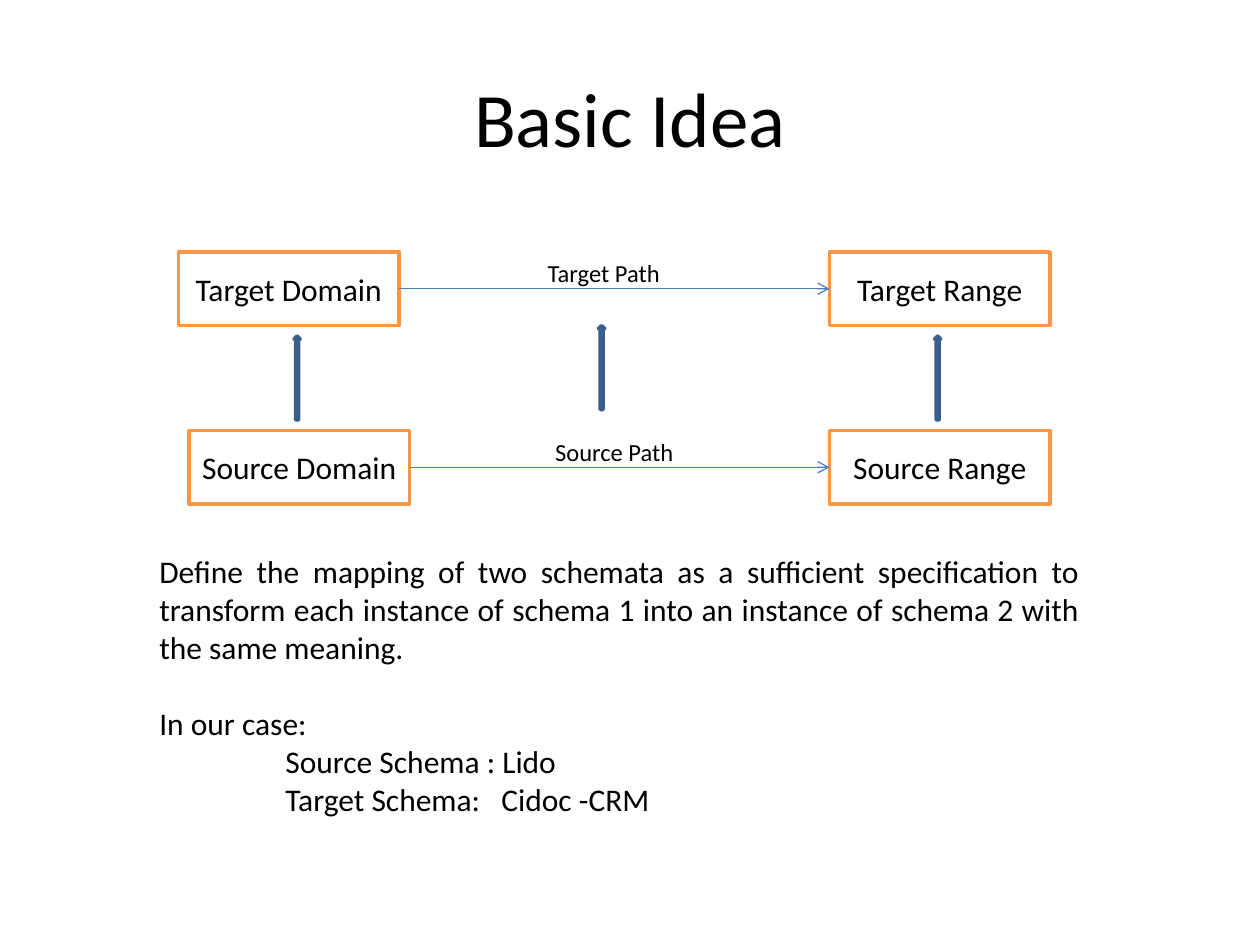
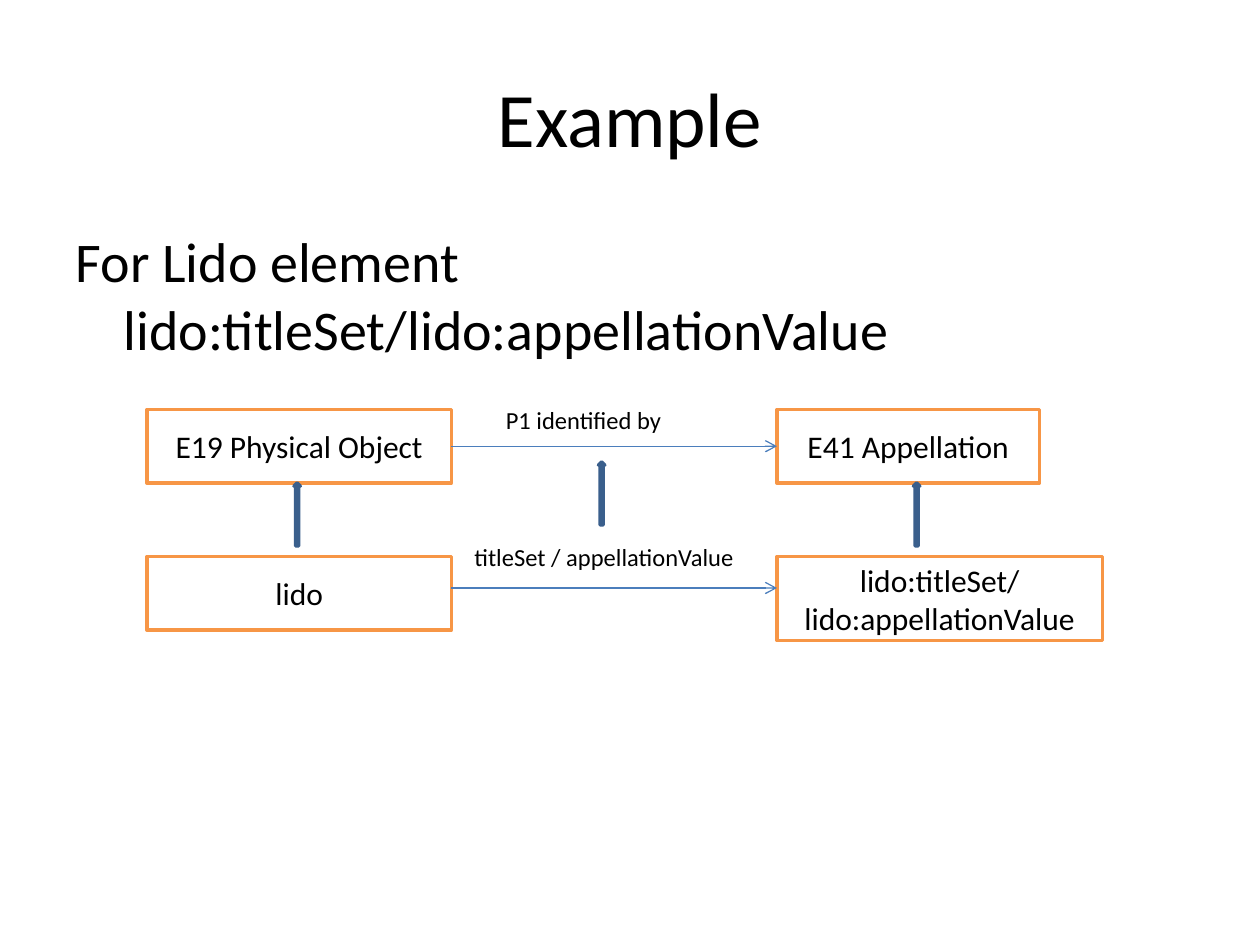
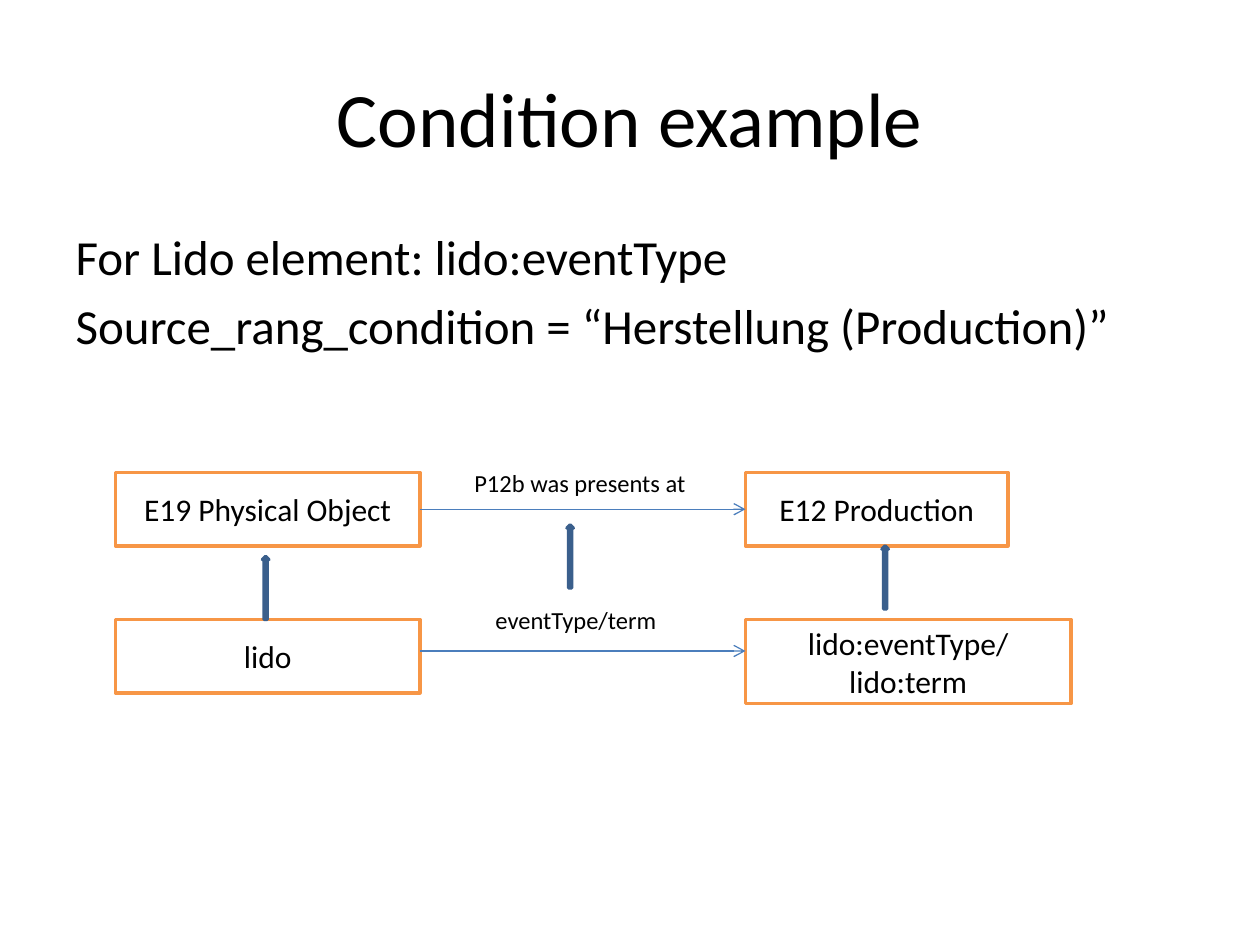
from dataclasses import dataclass
from typing import Any

from lxml.etree import SubElement as Sub
from pptx import Presentation
from pptx.dml.color import RGBColor as Rgb
from pptx.enum.shapes import MSO_CONNECTOR as Wire, MSO_SHAPE as Kind
from pptx.enum.text import MSO_ANCHOR as Anchor, MSO_AUTO_SIZE as Fit, PP_ALIGN as Align
from pptx.oxml.ns import qn
from pptx.util import Emu, Inches, Pt

COLS, ROWS = 120, 90
INK, PAPER, EDGE = "000000", "FFFFFF", "F79646"
WIRE, FILL, RIM = "4B7EBC", "4F81BD", "3A5F8C"
FACE = "Calibri"
LOW, THIN = 7, 0.6

deck = Presentation()
deck.slide_width, deck.slide_height = Inches(10), Inches(7.5)


@dataclass(frozen=True)
class Box:
    text: str
    col: float
    row: float
    wide: float
    high: float = LOW


@dataclass(frozen=True)
class Link:
    col: float
    end: float
    row: float


@dataclass(frozen=True)
class Rise:
    col: float
    row: float
    high: float


@dataclass(frozen=True)
class Chart:
    boxes: list[Box]
    links: list[Link]
    rises: list[Rise]
    notes: list[Box]
    side: Any = Align.LEFT


def hue(code: str) -> Rgb:
    return Rgb.from_string(code)


def across(cols: float) -> Emu:
    return Emu(round(deck.slide_width * cols / COLS))


def down(rows: float) -> Emu:
    return Emu(round(deck.slide_height * rows / ROWS))


def area(col: float, row: float, wide: float, high: float) -> tuple[Emu, ...]:
    return across(col), down(row), across(wide), down(high)


def apply(item: Any, form: dict[str, Any]) -> None:
    for name, value in form.items():
        setattr(item, name, value)


def place(item: Any, *spot: float) -> None:
    apply(item, dict(zip(("left", "top", "width", "height"), area(*spot))))


def write(para: Any, text: str, size: float, side: Any = None) -> Any:
    run = para.add_run()
    apply(run, {"text": text})
    apply(run.font, {"size": Pt(size), "name": FACE})
    run.font.color.rgb = hue(INK)
    para.alignment = side
    return run


def stroke(item: Any, code: str, width: float) -> None:
    item.line.color.rgb = hue(code)
    item.line.width = Pt(width)


def block(slide: Any, kind: Any, spot: tuple[Emu, ...], fill: str, edge: str) -> Any:
    item = slide.shapes.add_shape(kind, *spot)
    item.shadow.inherit = False
    item.fill.solid()
    item.fill.fore_color.rgb = hue(fill)
    stroke(item, edge, 2)
    return item


def draw_box(slide: Any, box: Box) -> None:
    spot = area(box.col, box.row, box.wide, box.high)
    frame = block(slide, Kind.RECTANGLE, spot, PAPER, EDGE).text_frame
    apply(frame, {"word_wrap": True, "vertical_anchor": Anchor.MIDDLE})
    write(frame.paragraphs[0], box.text, 18, Align.CENTER)


def draw_link(slide: Any, link: Link) -> None:
    row = down(link.row)
    item = slide.shapes.add_connector(Wire.STRAIGHT, across(link.col), row, across(link.end), row)
    stroke(item, WIRE, 0.75)
    Sub(item.line._get_or_add_ln(), qn("a:tailEnd"), type="arrow")
    Sub(item._element.spPr, qn("a:effectLst"))


def draw_rise(slide: Any, rise: Rise) -> None:
    spot = area(rise.col, rise.row, THIN, rise.high)
    block(slide, Kind.UP_ARROW, spot, FILL, RIM)


def add_text(slide: Any, *spot: float) -> Any:
    frame = slide.shapes.add_textbox(*area(*spot)).text_frame
    apply(frame, {"word_wrap": True, "auto_size": Fit.SHAPE_TO_FIT_TEXT})
    return frame


def draw_note(slide: Any, note: Box, side: Any) -> None:
    frame = add_text(slide, note.col, note.row, note.wide, note.high)
    write(frame.paragraphs[0], note.text, 14, side)


def draw(slide: Any, chart: Chart) -> None:
    for box in chart.boxes:
        draw_box(slide, box)
    for link in chart.links:
        draw_link(slide, link)
    for rise in chart.rises:
        draw_rise(slide, rise)
    for note in chart.notes:
        draw_note(slide, note, chart.side)


def start(head: str, lines: tuple[str, ...] = (), size: float = 32) -> Any:
    slide = deck.slides.add_slide(deck.slide_layouts[1 if lines else 5])
    title = slide.shapes.title
    place(title, 6, 3.6, 108, 15)
    title.text_frame.vertical_anchor = Anchor.MIDDLE
    write(title.text_frame.paragraphs[0], head, 44, Align.CENTER)
    if lines:
        body = slide.placeholders[1]
        place(body, 6, 21, 108, 59.4)
        frame = body.text_frame
        frame.auto_size = Fit.NONE
        for at, line in enumerate(lines):
            para = frame.add_paragraph() if at else frame.paragraphs[0]
            write(para, line, size)
            form = para._p.get_or_add_pPr()
            form.set("marL", str(Inches(0.38)))
            form.set("indent", str(-Inches(0.38)))
            Sub(form, qn("a:buNone"))
    return slide


def sample(col: float, row: float, goal: str, leaf: str, notes: list[Box], lag: float = 0) -> Chart:
    far, low = col + 60, row + 14
    return Chart(
        [
            Box("E19 Physical Object", col, row, 29),
            Box(goal, far, row, 25),
            Box("lido", col, low, 29),
            Box(leaf, far, low, 31, 8),
        ],
        [Link(col + 29, far, row + 3.5), Link(col + 29, far, low + 3)],
        [
            Rise(col + 14, row + 7 + lag, 6),
            Rise(col + 43, row + 5, 6),
            Rise(col + 73, row + 7, 6),
        ],
        notes,
    )


def explain(slide: Any) -> None:
    frame = add_text(slide, 14, 52, 90, 30.2)
    first = frame.paragraphs[0]
    write(
        first,
        "Define the mapping of two schemata as a sufficient specification to transform "
        "each instance of schema 1 into an instance of schema 2 with the same meaning.",
        18,
        Align.JUSTIFY,
    )
    case = frame.add_paragraph()
    case.space_before = Pt(22)
    write(case, "In our case:", 18, Align.JUSTIFY)
    for words in (("Source Schema : Lido",), ("Target Schema:", " ", "Cidoc -CRM")):
        para = frame.add_paragraph()
        para._p.get_or_add_pPr().set("marL", str(Inches(1)))
        for word in words:
            run = write(para, word, 18, Align.JUSTIFY)
            if word == " ":
                run.font._element.set("spc", "800")


basic = Chart(
    [
        Box("Target Domain", 17, 24, 21),
        Box("Target Range", 79, 24, 21),
        Box("Source Domain", 18, 41, 21),
        Box("Source Range", 79, 41, 21),
    ],
    [Link(38, 79, 27.5), Link(39, 79, 44.5)],
    [Rise(28, 32, 8), Rise(57, 31, 8), Rise(89, 32, 8)],
    [Box("Target Path", 50, 24, 15, 4), Box("Source Path", 51, 41, 15, 4)],
    Align.CENTER,
)
named = sample(
    14, 39, "E41 Appellation", "lido:titleSet/lido:appellationValue",
    [
        Box("P1 identified by", 47, 38, 24, 4),
        Box("titleSet / appellationValue", 44, 51, 28, 4),
    ],
)
made = sample(
    11, 45, "E12 Production", "lido:eventType/lido:term",
    [
        Box("P12b was presents at", 44, 44, 24, 4),
        Box("eventType/term", 46, 57, 22, 4),
    ],
    lag=1,
)

idea = start("Basic Idea")
draw(idea, basic)
explain(idea)
draw(start("Example", ("For Lido element lido:titleSet/lido:appellationValue",)), named)
draw(
    start(
        "Condition example",
        (
            "For Lido element: lido:eventType",
            "Source_rang_condition = “Herstellung (Production)”",
        ),
        28,
    ),
    made,
)
deck.save("out.pptx")
